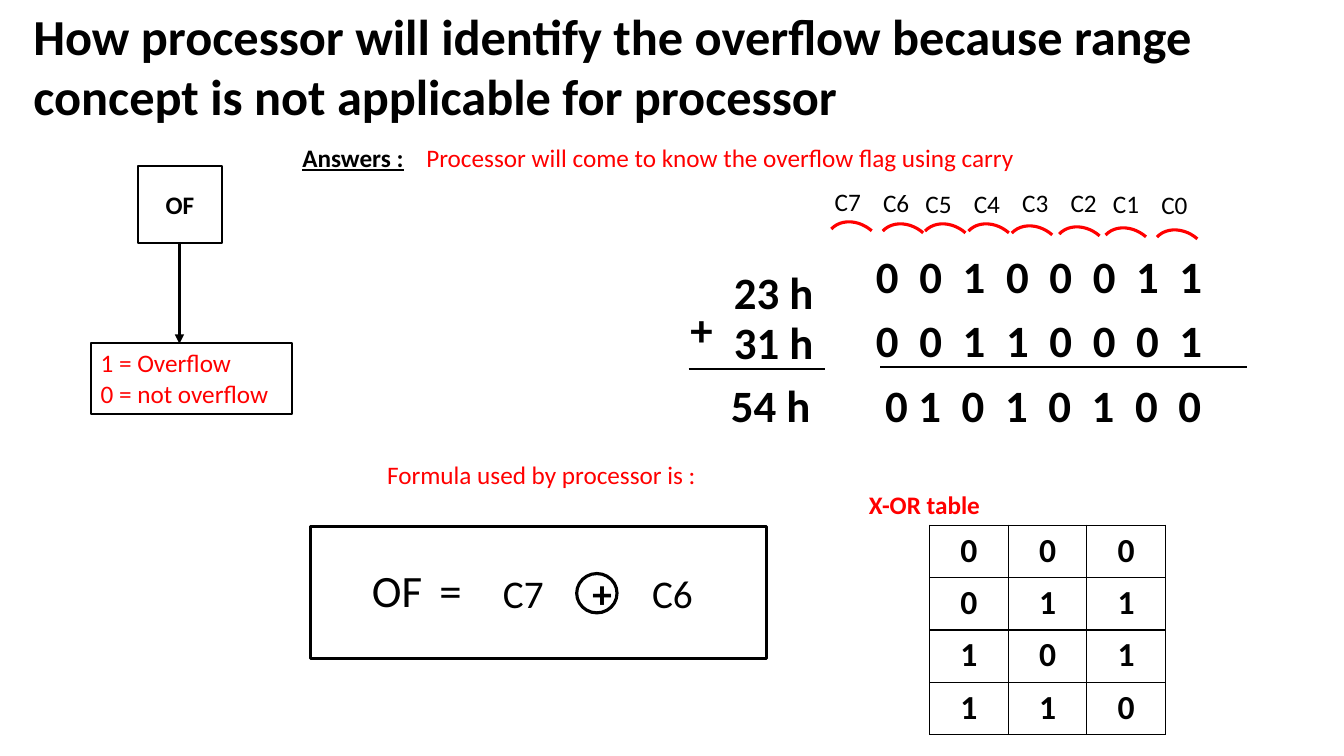
from pptx import Presentation
from pptx.dml.color import RGBColor
from pptx.enum.shapes import MSO_CONNECTOR, MSO_SHAPE
from pptx.enum.text import MSO_ANCHOR, PP_ALIGN
from pptx.oxml import parse_xml
from pptx.oxml.ns import nsdecls
from pptx.util import Inches, Pt

COLORS = {"ink": "000000", "accent": "FF0000"}
FONT = "Calibri"


def rgb(name):
    return RGBColor.from_string(COLORS[name])


def write(tf, text, size=18, color="ink", bold=False, underline=False,
          align=PP_ALIGN.LEFT, tabs=()):
    for i, line in enumerate(text.split("\n")):
        p = tf.paragraphs[0] if i == 0 else tf.add_paragraph()
        p.alignment = align
        if tabs:
            stops = "".join(f'<a:tab pos="{Inches(x)}" algn="l"/>' for x in tabs)
            p._p.get_or_add_pPr().append(
                parse_xml(f'<a:tabLst {nsdecls("a")}>{stops}</a:tabLst>'))
        r = p.add_run()
        r.text = line
        r.font.name = FONT
        r.font.size = Pt(size)
        r.font.bold = bold
        r.font.underline = underline
        r.font.color.rgb = rgb(color)


class Deck:
    def __init__(self, width, height):
        self.prs = Presentation()
        self.prs.slide_width = Inches(width)
        self.prs.slide_height = Inches(height)
        self.s = self.prs.slides.add_slide(self.prs.slide_layouts[5])

    def title(self, x, y, w, h, text, **fmt):
        sp = self.s.shapes.title
        sp.left, sp.top, sp.width, sp.height = map(Inches, (x, y, w, h))
        tf = sp.text_frame
        tf.word_wrap = True
        tf.vertical_anchor = MSO_ANCHOR.TOP
        write(tf, text, **fmt)

    def text(self, x, y, w, h, text, **fmt):
        tf = self.s.shapes.add_textbox(*map(Inches, (x, y, w, h))).text_frame
        tf.word_wrap = True
        tf.margin_right = 0
        write(tf, text, **fmt)

    def shape(self, kind, x, y, w, h, text="", line="ink", width=1.5,
              anchor=MSO_ANCHOR.MIDDLE, **fmt):
        sp = self.s.shapes.add_shape(kind, *map(Inches, (x, y, w, h)))
        sp.shadow.inherit = False
        sp.fill.background()
        sp.line.color.rgb = rgb(line)
        sp.line.width = Pt(width)
        sp.text_frame.vertical_anchor = anchor
        if text:
            write(sp.text_frame, text, **fmt)
        return sp

    def arc(self, x, y):
        sp = self.shape(MSO_SHAPE.ARC, x, y, 0.52, 0.64, line="accent", width=2.25)
        sp.adjustments[0] = 162
        sp.adjustments[1] = 214.15
        sp.rotation = 312.9

    def line(self, x1, y1, x2, y2, width=1, arrow=False):
        c = self.s.shapes.add_connector(
            MSO_CONNECTOR.STRAIGHT, *map(Inches, (x1, y1, x2, y2)))
        c.line.color.rgb = rgb("ink")
        c.line.width = Pt(width)
        if arrow:
            c.line._get_or_add_ln().append(
                parse_xml(f'<a:tailEnd {nsdecls("a")} type="triangle"/>'))
        c._element.spPr.append(parse_xml(f'<a:effectLst {nsdecls("a")}/>'))

    def table(self, x, y, col_w, row_h, rows, **fmt):
        n, m = len(rows), len(rows[0])
        table = self.s.shapes.add_table(
            n, m, *map(Inches, (x, y, col_w * m, row_h * n))).table
        table.first_row = table.horz_banding = False
        for col in table.columns:
            col.width = Inches(col_w)
        for row, values in zip(table.rows, rows):
            row.height = Inches(row_h)
            for cell, value in zip(row.cells, values):
                write(cell.text_frame, str(value), **fmt)
                tcPr = cell._tc.get_or_add_tcPr()
                for side in ("lnL", "lnR", "lnT", "lnB"):
                    tcPr.append(parse_xml(
                        f'<a:{side} {nsdecls("a")} w="{Pt(1)}"><a:solidFill>'
                        f'<a:srgbClr val="{COLORS["ink"]}"/></a:solidFill></a:{side}>'))
                cell.fill.background()


def main():
    d = Deck(13.33, 7.5)
    d.title(0.23, 0, 11.78, 1.31, "How processor will identify the overflow because "
            "range concept is not applicable for processor", size=36, bold=True)

    d.shape(MSO_SHAPE.RECTANGLE, 0.9, 3.4, 2, 0.71, "1 = Overflow\n0 = not overflow",
            anchor=MSO_ANCHOR.TOP, color="accent")
    d.line(1.78, 2.4, 1.78, 3.41, width=2.25, arrow=True)
    d.shape(MSO_SHAPE.RECTANGLE, 1.37, 1.65, 0.83, 0.76, "OF", bold=True,
            align=PP_ALIGN.CENTER)

    d.text(4.13, 1.36, 6.08, 0.4,
           "Processor will come to know the overflow flag using carry", color="accent")
    d.text(2.9, 1.36, 2, 0.4, "Answers :", bold=True, underline=True)

    for x, y, text in ((7.18, 2.58, "23 h"), (7.18, 3.07, "31 h"),
                       (6.75, 2.94, "+"), (7.15, 3.7, "54 h")):
        d.text(x, y, 1.28, 0.64, text, size=32, bold=True)
    d.line(6.83, 3.66, 8.18, 3.66)

    pitch = 0.43
    for x, y, bits, first in ((8.59, 2.42, "00100011", pitch),
                              (8.59, 3.05, "00110001", pitch),
                              (8.68, 3.7, "01010100", 0.33)):
        d.text(x, y, 4, 0.64, "\t".join(bits), size=32, bold=True,
               tabs=[first + pitch * i for i in range(len(bits) - 1)])
    d.line(8.73, 3.64, 12.37, 3.64)

    carries = ((11.42, 1.83, 11.45, 2.25), (10.94, 1.82, 10.94, 2.23),
               (10.52, 1.81, 10.48, 2.22), (10.04, 1.81, 10.01, 2.21),
               (9.56, 1.82, 9.58, 2.19), (9.08, 1.82, 9.15, 2.19),
               (8.66, 1.81, 8.73, 2.19), (8.18, 1.8, 8.22, 2.17))
    for i, (x, y, arc_x, arc_y) in enumerate(carries):
        d.arc(arc_x, arc_y)
        d.text(x, y, 0.46, 0.4, f"C{i}")

    d.text(3.74, 4.51, 3.51, 0.4, "Formula used by processor is :", color="accent")
    d.shape(MSO_SHAPE.RECTANGLE, 3.08, 5.22, 4.52, 1.31, width=2.25)
    d.text(3.59, 5.53, 1.38, 0.64, "OF\t=", size=32, tabs=[0.67])
    d.text(4.89, 5.6, 0.74, 0.57, "C7", size=28)
    d.shape(MSO_SHAPE.OVAL, 5.72, 5.69, 0.4, 0.39, "+", width=2.25, size=28,
            bold=True, align=PP_ALIGN.CENTER)
    d.text(6.37, 5.6, 0.8, 0.57, "C6", size=28)

    d.text(8.52, 4.81, 3.51, 0.4, "X-OR table", color="accent", bold=True)
    d.table(9.22, 5.21, 0.78, 0.52, [(a, b, a ^ b) for a in (0, 1) for b in (0, 1)],
            size=24, bold=True, align=PP_ALIGN.CENTER)

    d.prs.save("out.pptx")


if __name__ == "__main__":
    main()
